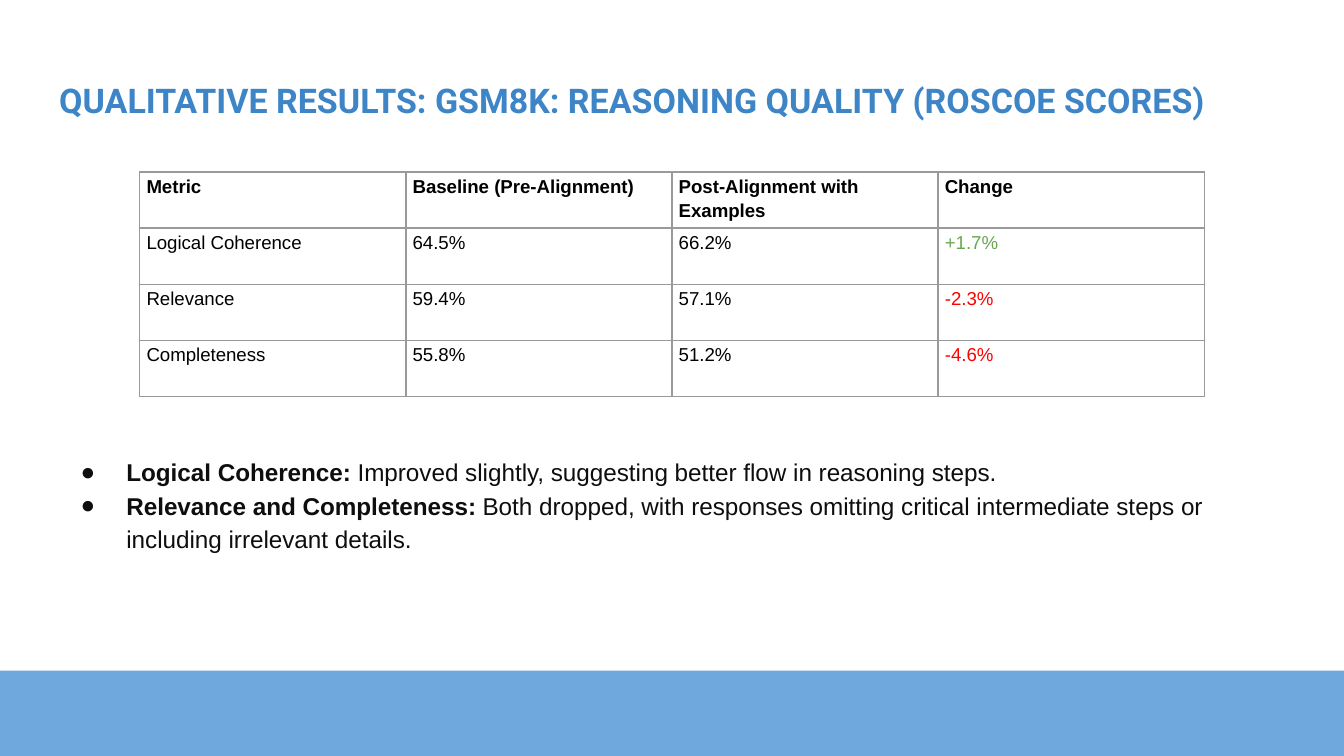
from lxml import etree
from pptx import Presentation
from pptx.dml.color import RGBColor
from pptx.enum.shapes import MSO_SHAPE
from pptx.enum.text import MSO_ANCHOR, MSO_AUTO_SIZE, PP_ALIGN
from pptx.oxml import parse_xml
from pptx.oxml.ns import nsdecls, qn
from pptx.util import Inches, Pt

RECTANGLE = MSO_SHAPE.RECTANGLE
TOP = MSO_ANCHOR.TOP
LEFT = PP_ALIGN.LEFT
NO_AUTOFIT = MSO_AUTO_SIZE.NONE
GROW = MSO_AUTO_SIZE.SHAPE_TO_FIT_TEXT

TITLE_BLUE = RGBColor(0x3D, 0x85, 0xC6)
BAND_BLUE = RGBColor(0x6F, 0xA8, 0xDC)
INK = RGBColor(0x0E, 0x0E, 0x0E)
BLACK = RGBColor(0, 0, 0)
GRID_GRAY = RGBColor(0x9A, 0x9A, 0x9A)
GAIN_GREEN = RGBColor(0x6A, 0xA8, 0x4F)
LOSS_RED = RGBColor(0xFF, 0, 0)

RESULTS = [
    ("Metric", "Baseline (Pre-Alignment)", "Post-Alignment with Examples", "Change"),
    ("Logical Coherence", "64.5%", "66.2%", "+1.7%"),
    ("Relevance", "59.4%", "57.1%", "-2.3%"),
    ("Completeness", "55.8%", "51.2%", "-4.6%"),
]
FINDINGS = [
    ("Logical Coherence:",
     " Improved slightly, suggesting better flow in reasoning steps."),
    ("Relevance and Completeness:",
     " Both dropped, with responses omitting critical intermediate steps "
     "or including irrelevant details."),
]
CHANGE_COLORS = {"+": GAIN_GREEN, "-": LOSS_RED}


def add_borders(cell):
    properties = cell._tc.get_or_add_tcPr()
    for side in ("lnL", "lnR", "lnT", "lnB"):
        properties.append(parse_xml(
            f'<a:{side} {nsdecls("a")} w="{Pt(0.75)}"><a:solidFill>'
            f'<a:srgbClr val="{GRID_GRAY}"/></a:solidFill></a:{side}>'))


def add_bullet(para):
    properties = para._p.get_or_add_pPr()
    properties.set("marL", str(Inches(0.5)))
    properties.set("indent", str(Inches(-0.34)))
    color = etree.SubElement(properties, qn("a:buClr"))
    etree.SubElement(color, qn("a:srgbClr"), val=str(INK))
    etree.SubElement(properties, qn("a:buFont"), typeface="Arial")
    etree.SubElement(properties, qn("a:buChar"), char="●")


# Widescreen page, 16:9
deck = Presentation()
deck.slide_width = Inches(10)
deck.slide_height = Inches(10 * 9 / 16)
page = deck.slides.add_slide(deck.slide_layouts[1])
title, body = page.placeholders

# Title and body share margins and insets
for box, top, height, fit in ((title, 0.49, 0.63, NO_AUTOFIT), (body, 3.27, 0.92, GROW)):
    box.left, box.top = Inches(0.34), Inches(top)
    box.width, box.height = Inches(9.32), Inches(height)
    frame = box.text_frame
    frame.margin_left = frame.margin_right = Inches(0.1)
    frame.margin_top = frame.margin_bottom = Inches(0.1)
    frame.vertical_anchor = TOP
    frame.word_wrap = True
    frame.auto_size = fit

para = title.text_frame.paragraphs[0]
para.text = "QUALITATIVE RESULTS: GSM8K: REASONING QUALITY (ROSCOE SCORES)"
para.alignment = LEFT
para.font.name, para.font.size, para.font.bold = "Roboto", Pt(18.2), True
para.font.color.rgb = TITLE_BLUE

# Findings
for index, (label, finding) in enumerate(FINDINGS):
    frame = body.text_frame
    para = frame.add_paragraph() if index else frame.paragraphs[0]
    add_bullet(para)
    para.line_spacing = 1.15
    para.space_before = Pt(0)
    para.font.name, para.font.size = "Arial", Pt(13)
    para.font.color.rgb = INK
    for text, bold in ((label, True), (finding, False)):
        span = para.add_run()
        span.text = text
        span.font.bold = bold

# Footer band reaches the bottom edge
band_top = Inches(4.99)
band = page.shapes.add_shape(
    RECTANGLE, 0, band_top, deck.slide_width, deck.slide_height - band_top)
band.shadow.inherit = False
band.fill.solid()
band.fill.fore_color.rgb = BAND_BLUE
band.line.fill.background()

# Results table
table = page.shapes.add_table(
    len(RESULTS), len(RESULTS[0]),
    Inches(1.04), Inches(1.28), Inches(7.92), Inches(1.67)).table
table.first_row = table.horz_banding = False
for row_index, values in enumerate(RESULTS):
    for column_index, value in enumerate(values):
        cell = table.cell(row_index, column_index)
        cell.margin_left = cell.margin_right = Inches(0.05)
        cell.margin_top = cell.margin_bottom = Inches(0.01)
        add_borders(cell)
        cell.fill.background()
        para = cell.text_frame.paragraphs[0]
        para.text = value
        para.line_spacing = 1.15
        para.font.name, para.font.size = "Arial", Pt(10)
        para.font.bold = row_index == 0
        para.font.color.rgb = CHANGE_COLORS.get(value[0], BLACK)

deck.save("out.pptx")
